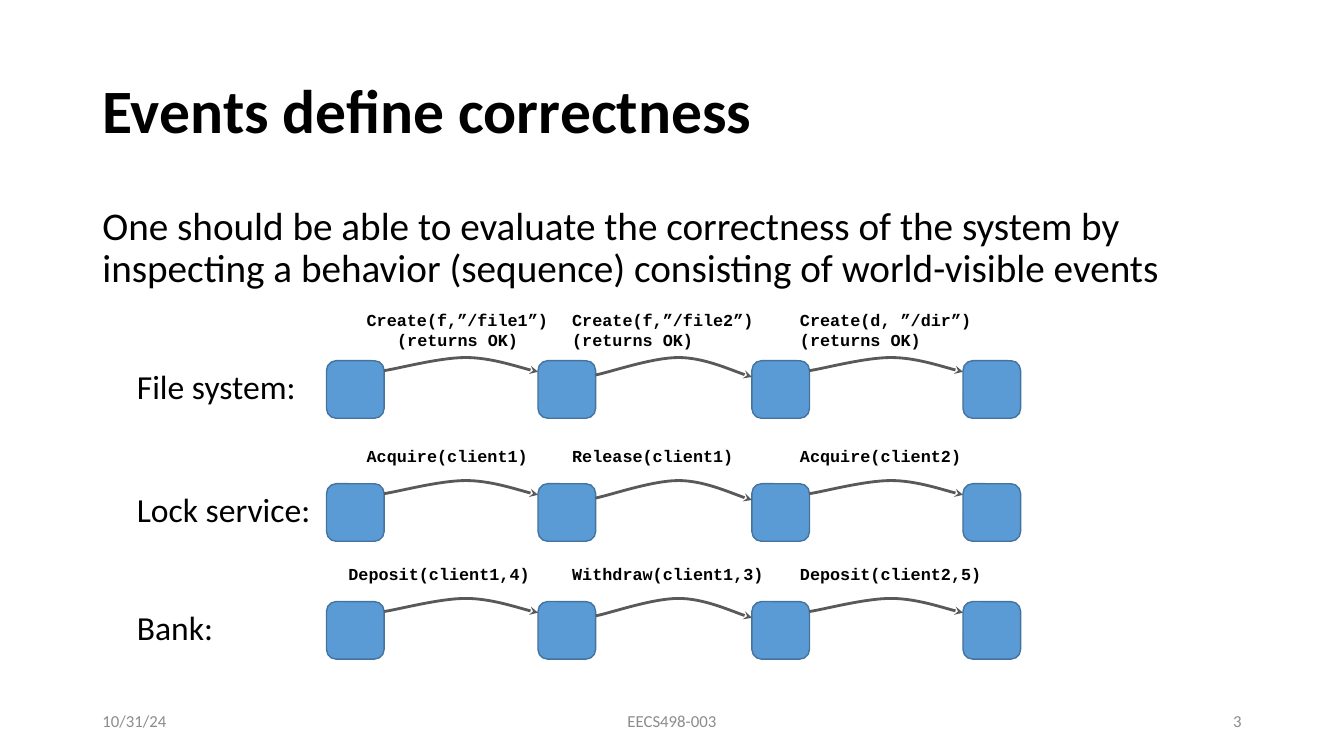
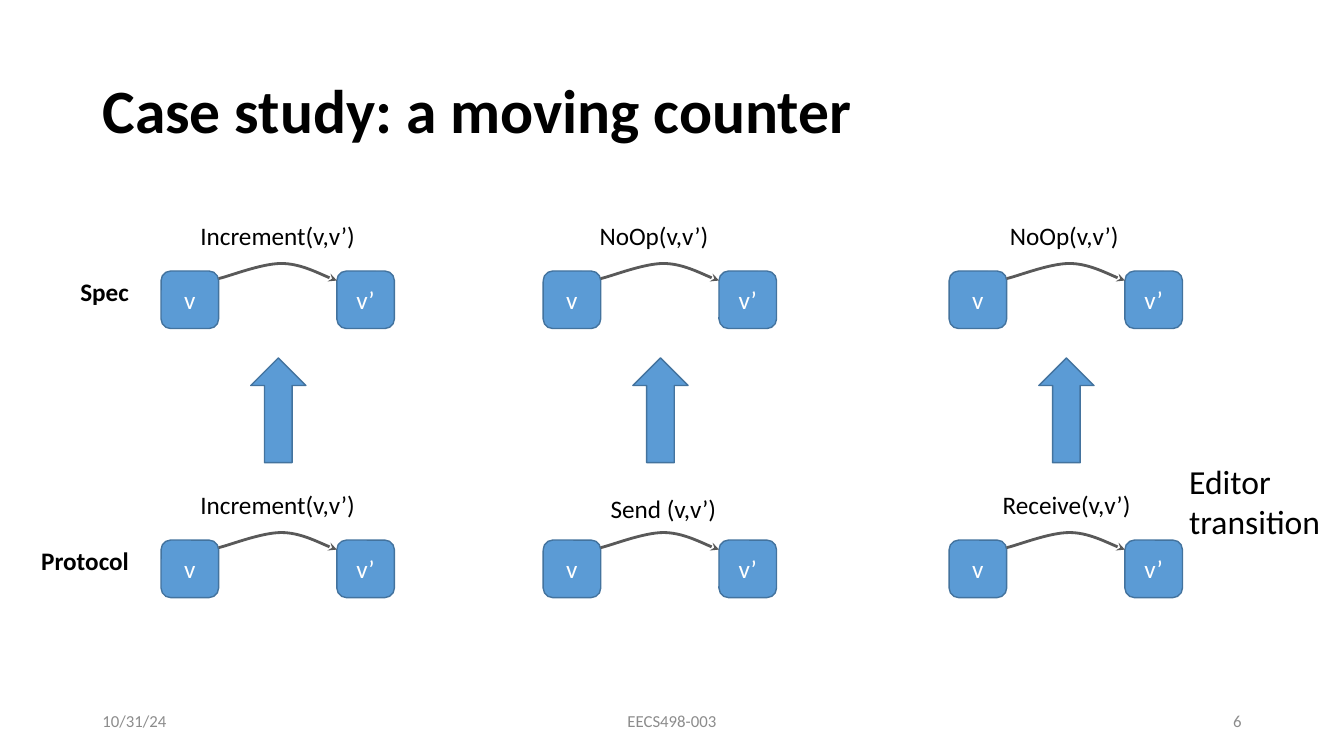
from dataclasses import dataclass
from lxml.etree import SubElement
from pptx import Presentation
from pptx.dml.color import RGBColor as Rgb
from pptx.enum.shapes import MSO_SHAPE as Kind
from pptx.enum.text import MSO_ANCHOR as Anchor, MSO_AUTO_SIZE as Fit, PP_ALIGN as Align
from pptx.oxml.ns import qn
from pptx.util import Cm, Pt


@dataclass(frozen=True)
class Theme:
    black = Rgb(0, 0, 0)
    white = Rgb(255, 255, 255)
    grey = Rgb(0x8C, 0x8C, 0x8C)
    blue = Rgb(0x5B, 0x9B, 0xD5)
    edge = Rgb(0x43, 0x73, 0x9E)
    curve = Rgb(0x59, 0x59, 0x59)
    sans = "Calibri"
    mono = "Courier New"
    title = Pt(44)
    body = Pt(28)
    large = Pt(24)
    label = Pt(18)
    small = Pt(12)


theme = Theme()
NODE = 1.45


def put(slide, box, words="", kind=None, size=theme.label, color=theme.black,
        font=theme.sans, bold=False, align=Align.LEFT, anchor=Anchor.TOP):
    """Add a blue shape of the given kind, or a text box; box is in cm."""
    area = [Cm(n) for n in box]
    if kind is None:
        shape = slide.shapes.add_textbox(*area)
    else:
        shape = slide.shapes.add_shape(kind, *area)
        shape.shadow.inherit = False
        shape.fill.solid()
        shape.fill.fore_color.rgb = theme.blue
        shape.line.color.rgb = theme.edge
        shape.line.width = Pt(1)
        color, align, anchor = theme.white, Align.CENTER, Anchor.MIDDLE
    frame = shape.text_frame
    frame.word_wrap = True
    frame.vertical_anchor = anchor
    frame.text = words
    for para in frame.paragraphs:
        para.alignment = align
        para.font.name, para.font.size = font, size
        para.font.bold, para.font.color.rgb = bold, color
    return frame


def arc(slide, left, right, start, peak, end):
    """Draw a curved arrow over the gap between two nodes, in cm."""
    wide = right - left
    spots = [(0.09, start + 0.15 * (peak - start)), (0.36, peak), (0.53, peak),
             (0.69, peak), (0.92, end + 0.17 * (peak - end)), (1, end)]
    pen = slide.shapes.build_freeform(Cm(left), Cm(start))
    pen.add_line_segments([(Cm(left + part * wide), Cm(y)) for part, y in spots],
                          close=False)
    shape = pen.convert_to_shape()
    shape.shadow.inherit = False
    shape.fill.background()
    shape.line.color.rgb = theme.curve
    shape.line.width = Pt(2)
    # Each three line segments become the control points of one Bézier curve.
    lines = list(shape._element.iter(qn("a:lnTo")))
    track = lines[0].getparent()
    for first in (0, 3):
        bend = SubElement(track, qn("a:cubicBezTo"))
        for line in lines[first:first + 3]:
            bend.append(line[0])
            track.remove(line)
    SubElement(shape.line._get_or_add_ln(), qn("a:tailEnd"), type="stealth")


deck = Presentation()
deck.slide_width, deck.slide_height = Cm(33.87), Cm(19.05)

# Titles and footers
slides = []
for title, number in (("Events define correctness", "3"),
                      ("Case study: a moving counter", "6")):
    slide = deck.slides.add_slide(deck.slide_layouts[5])
    slides.append(slide)
    head = slide.shapes.title
    head.left, head.top, head.width, head.height = Cm(2.33), Cm(1.02), Cm(29.21), Cm(3.68)
    frame = head.text_frame
    frame.text = title
    frame.auto_size = Fit.NONE
    frame.vertical_anchor = Anchor.MIDDLE
    para = frame.paragraphs[0]
    para.alignment, para.line_spacing = Align.LEFT, 0.9
    para.font.name, para.font.size = theme.sans, theme.title
    para.font.bold, para.font.color.rgb = True, theme.black
    for x, wide, words, align in ((2.33, 7.62, "10/31/24", Align.LEFT),
                                  (11.22, 11.43, "EECS498-003", Align.CENTER),
                                  (23.92, 7.62, number, Align.RIGHT)):
        put(slide, (x, 17.65, wide, 1.02), words, size=theme.small,
            color=theme.grey, align=align, anchor=Anchor.MIDDLE)
events, study = slides

# Events: three systems, each a chain of four states
lead = put(events, (2.33, 5.08, 29.21, 2.5),
           "One should be able to evaluate the correctness of the system by "
           "inspecting a behavior (sequence) consisting of world-visible events",
           size=theme.body)
lead.paragraphs[0].line_spacing = 0.9
lead.paragraphs[0].space_before = Pt(10)

states = (8.23, 13.56, 18.95, 24.27)
bends = ((0.25, 0.28), (0.36, 0.41), (0.25, 0.28))
systems = (
    ("File system:", 9.09, 1.41, 8.99,
     ("Create(f,”/file1”)\n(returns OK)", "Create(f,”/file2”)\n(returns OK)",
      "Create(d, ”/dir”)\n(returns OK)")),
    ("Lock service:", 12.19, 1.09, 8.99,
     ("Acquire(client1)", "Release(client1)", "Acquire(client2)")),
    ("Bank:", 15.16, 1.09, 8.53,
     ("Deposit(client1,4)", "Withdraw(client1,3)", "Deposit(client2,5)")),
)
for name, top, rise, first, calls in systems:
    put(events, (3.2, top, 5.03, 1.28), name, size=theme.large)
    for x in states:
        put(events, (x, top, NODE, NODE), kind=Kind.ROUNDED_RECTANGLE)
    for i, (start, end) in enumerate(bends):
        arc(events, states[i] + NODE, states[i + 1], top + start, top - 0.08, top + end)
        x = (first, 14.17, 19.91)[i]
        frame = put(events, (x, top - rise, 5.4, 0.77), calls[i],
                    size=theme.small, font=theme.mono, bold=True)
        if i == 0:
            for para in frame.paragraphs[1:]:
                para._p.get_or_add_pPr().set("marL", str(Cm(0.77)))

# Study: each protocol step maps up to a spec step
levels = (
    ("Spec", 6.83, ((4.8, 1.4, "Increment(v,v’)"), (14.86, 1.4, "NoOp(v,v’)"),
                    (25.2, 1.4, "NoOp(v,v’)"))),
    ("Protocol", 13.61, ((4.8, 1.4, "Increment(v,v’)"), (15.14, 1.3, "Send (v,v’)"),
                         (25.02, 1.4, "Receive(v,v’)"))),
)
pairs = (4.06, 13.69, 23.92)
for name, top, steps in levels:
    put(study, (0.76, top, 2.74, 1.02), name, bold=True, align=Align.RIGHT)
    for x, (left, rise, call) in zip(pairs, steps):
        after = x + 4.43
        put(study, (x, top, NODE, NODE), "v", Kind.ROUNDED_RECTANGLE)
        put(study, (after, top, NODE, NODE), "v’", Kind.ROUNDED_RECTANGLE)
        arc(study, x + NODE, after, top + 0.19, top - 0.19, top + 0.24)
        put(study, (left, top - rise, 4.6, 1.02), call)
for x in pairs:
    put(study, (x + 2.26, 9.02, 1.39, 2.64), kind=Kind.UP_ARROW)
put(study, (29.72, 11.48, 4.1, 2.3), "Editor transition", size=theme.large)

deck.save("out.pptx")
